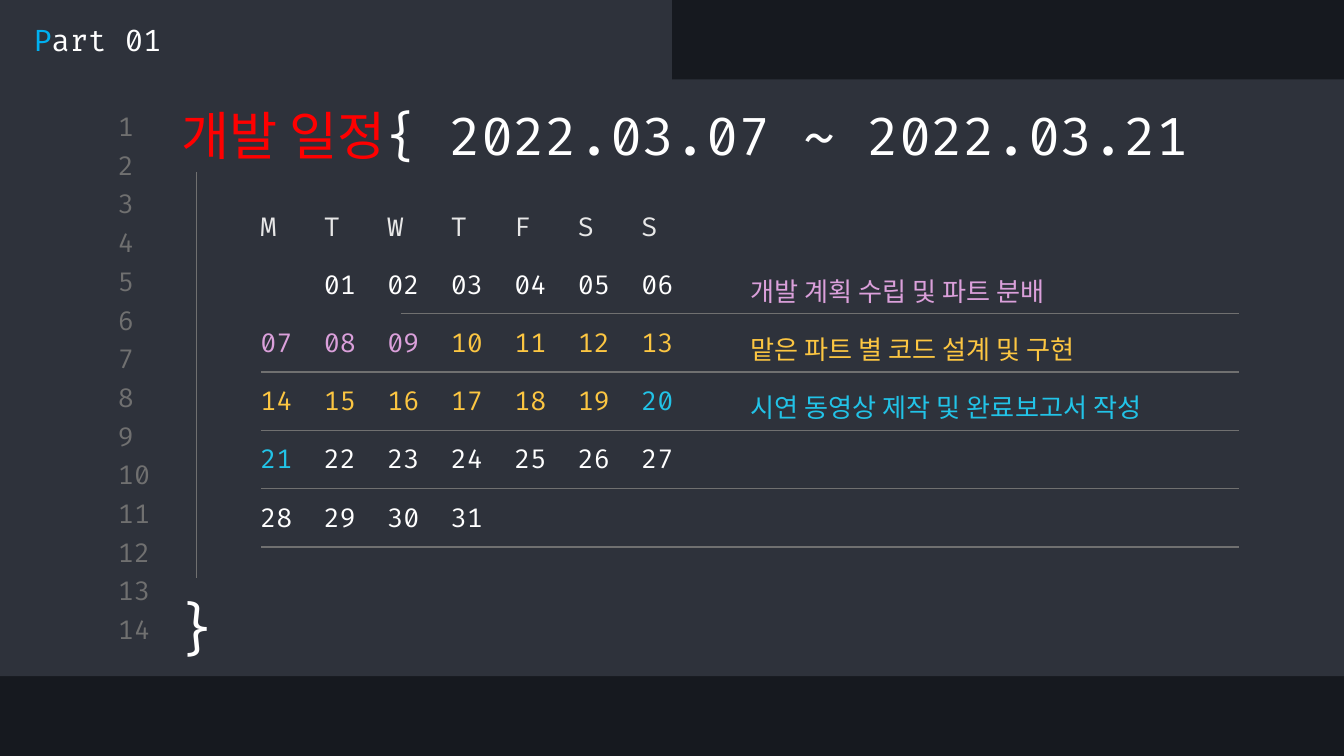
from collections import namedtuple
from dataclasses import dataclass

from lxml import etree
from pptx import Presentation
from pptx.dml.color import RGBColor
from pptx.enum.shapes import MSO_CONNECTOR, MSO_SHAPE
from pptx.enum.text import MSO_ANCHOR, PP_ALIGN
from pptx.oxml.ns import qn
from pptx.util import Cm, Pt

STRAIGHT = MSO_CONNECTOR.STRAIGHT
RECTANGLE = MSO_SHAPE.RECTANGLE
TOP, MIDDLE = MSO_ANCHOR.TOP, MSO_ANCHOR.MIDDLE
LEFT, CENTER = PP_ALIGN.LEFT, PP_ALIGN.CENTER

Box = namedtuple("Box", "left top width height")  # centimetres


@dataclass(frozen=True)
class Theme:
    font: str = "Fira Code"
    backdrop: str = "16191F"
    panel: str = "2E323B"
    muted: str = "707070"
    heading: str = "E7E7E7"
    white: str = "FFFFFF"
    red: str = "FF0000"
    blue: str = "00B0F0"
    planning: str = "DBA0DB"
    coding: str = "FCC642"
    report: str = "22C3E7"
    body_size: int = 14
    part_size: int = 16
    title_size: int = 28
    brace_size: int = 30
    inset: float = 0.25
    line_width: float = 0.75


THEME = Theme()
WEEKDAYS = "MTWTFSS"
WEEKS = 5
FIRST_WEEKDAY = 1
LAST_DAY = 31
PHASES = [
    (range(7, 10), THEME.planning, "개발 계획 수립 및 파트 분배"),
    (range(10, 20), THEME.coding, "맡은 파트 별 코드 설계 및 구현"),
    (range(20, 22), THEME.report, "시연 동영상 제작 및 완료보고서 작성"),
]


def rgb(color):
    return RGBColor.from_string(color)


def add_span(para, text, size, color):
    span = para.add_run()
    span.text = text
    span.font.name = THEME.font
    span.font.size = Pt(size)
    span.font.color.rgb = rgb(color)


def add_text(page, box, spans, size, anchor=MIDDLE, align=LEFT):
    """Place one paragraph made of (text, color) spans and return it."""
    frame = page.shapes.add_textbox(*map(Cm, box)).text_frame
    frame.word_wrap = True
    frame.vertical_anchor = anchor
    frame.margin_left = frame.margin_right = Cm(THEME.inset)
    frame.margin_top = frame.margin_bottom = Cm(THEME.inset)
    para = frame.paragraphs[0]
    para.alignment = align
    for text, color in spans:
        add_span(para, text, size, color)
    return para


def add_line(page, x1, y1, x2, y2):
    line = page.shapes.add_connector(STRAIGHT, Cm(x1), Cm(y1), Cm(x2), Cm(y2))
    line.line.color.rgb = rgb(THEME.muted)
    line.line.width = Pt(THEME.line_width)
    etree.SubElement(line._element.spPr, qn("a:effectLst"))


def add_panel(page, box):
    panel = page.shapes.add_shape(RECTANGLE, *map(Cm, box))
    panel.shadow.inherit = False
    panel.fill.solid()
    panel.fill.fore_color.rgb = rgb(THEME.panel)
    panel.line.fill.background()


def add_line_numbers(page, box, count):
    pitch = box.height / count
    for index in range(count):
        cell = Box(box.left, box.top + index * pitch, box.width, 0.61)
        add_text(page, cell, [(str(index + 1), THEME.muted)], THEME.body_size)


def add_part_label(page, box):
    spans = [("P", THEME.blue), ("art 01", THEME.white)]
    para = add_text(page, box, spans, THEME.part_size)
    properties = para._p.get_or_add_pPr()
    properties.set("marL", str(Cm(1.27)))
    properties.set("indent", str(Cm(-0.89)))


def add_code_block(page, box):
    """Place the title, the indent guide and the closing brace."""
    title = box._replace(height=1.5)
    spans = [("개발 일정", THEME.red), ("{ 2022.03.07 ~ 2022.03.21", THEME.white)]
    add_text(page, title, spans, THEME.title_size, TOP)
    bottom = box.top + box.height
    guide = box.left + 0.53
    add_line(page, guide, box.top + 1.55, guide, bottom - 1.85)
    brace = Box(guide - 0.7, bottom - 1.8, 1.4, 1.8)
    add_text(page, brace, [("}", THEME.white)], THEME.brace_size, TOP, CENTER)


def day_color(day):
    for days, color, _ in PHASES:
        if day in days:
            return color
    return THEME.white


def calendar_rows():
    """Return rows of (text, color) cells, weekdays first."""
    rows = [[(name, THEME.heading) for name in WEEKDAYS]]
    for week in range(WEEKS):
        start = week * len(WEEKDAYS) - FIRST_WEEKDAY + 1
        days = range(start, start + len(WEEKDAYS))
        rows.append([(f"{day:02}" if 1 <= day <= LAST_DAY else "", day_color(day))
                     for day in days])
    return rows


def fill_cell(cell, text, color):
    cell.vertical_anchor = MIDDLE
    cell.margin_left = cell.margin_right = Cm(THEME.inset)
    cell.margin_top = cell.margin_bottom = Cm(THEME.inset)
    properties = cell._tc.get_or_add_tcPr()
    for side in ("a:lnL", "a:lnR", "a:lnT", "a:lnB"):
        border = etree.SubElement(properties, qn(side), w="0")
        etree.SubElement(border, qn("a:noFill"))
    cell.fill.background()
    para = cell.text_frame.paragraphs[0]
    if text:
        add_span(para, text, THEME.body_size, color)
    else:
        etree.SubElement(para._p, qn("a:endParaRPr"), sz=str(THEME.body_size * 100))


def add_calendar(page, box):
    rows = calendar_rows()
    table = page.shapes.add_table(len(rows), len(WEEKDAYS), *map(Cm, box)).table
    table.first_row = table.horz_banding = False
    for column in table.columns:
        column.width = Cm(box.width / len(WEEKDAYS))
    for row, cells in zip(table.rows, rows):
        row.height = Cm(box.height / len(rows))
        for cell, (text, color) in zip(row.cells, cells):
            fill_cell(cell, text, color)


def add_week_rules(page, box):
    """Underline each week; the first rule starts further right."""
    pitch = box.height / (WEEKS - 1)
    for week in range(WEEKS):
        y = box.top + week * pitch
        start = box.left if week else box.left + 2.64
        add_line(page, start, y, box.left + box.width, y)


def add_phase_notes(page, box):
    pitch = box.height / len(PHASES)
    for index, (_, color, note) in enumerate(PHASES):
        line = Box(box.left, box.top + index * pitch, box.width, 0.64)
        add_text(page, line, [(note, color)], THEME.body_size)


def add_schedule_page(deck):
    page = deck.slides.add_slide(deck.slide_layouts[6])
    page.background.fill.solid()
    page.background.fill.fore_color.rgb = rgb(THEME.backdrop)
    add_panel(page, Box(0, 1.5, 25.4, 11.28))
    add_panel(page, Box(0, 0, 12.7, 1.65))
    add_line_numbers(page, Box(1.98, 2.08, 1.19, 10.24), 14)
    add_code_block(page, Box(3.18, 1.7, 20.24, 11.07))
    add_calendar(page, Box(4.67, 3.76, 8.4, 6.6))
    add_week_rules(page, Box(4.93, 5.93, 18.49, 4.41))
    add_phase_notes(page, Box(13.94, 5.18, 9.47, 3.28))
    add_part_label(page, Box(0, 0.25, 12.7, 1))


def main():
    deck = Presentation()
    deck.slide_width, deck.slide_height = Cm(25.4), Cm(14.29)
    add_schedule_page(deck)
    deck.save("out.pptx")


if __name__ == "__main__":
    main()
